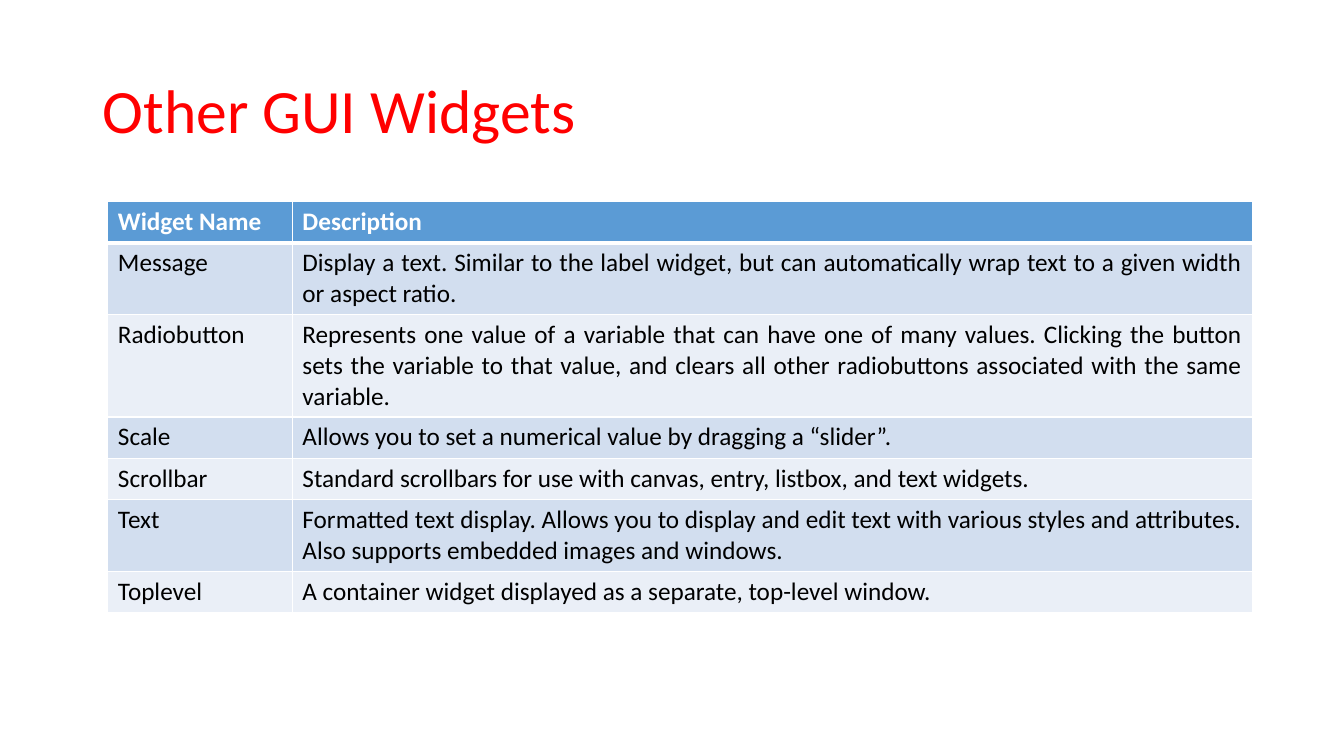
"""Build the slide that lists other GUI widgets in a two-column table."""
import pptx
import pptx.dml.color
import pptx.enum.text
import pptx.oxml.ns
import pptx.util
from lxml import etree

PX = 9144
FONT = "Calibri"
WIDGETS = [
    ("Widget Name", "Description"),
    ("Message", "Display a text. Similar to the label widget, but can automatically "
     "wrap text to a given width or aspect ratio."),
    ("Radiobutton", "Represents one value of a variable that can have one of many values. "
     "Clicking the button sets the variable to that value, and clears all other "
     "radiobuttons associated with the same variable."),
    ("Scale", "Allows you to set a numerical value by dragging a “slider”."),
    ("Scrollbar", "Standard scrollbars for use with canvas, entry, listbox, and text widgets."),
    ("Text", "Formatted text display. Allows you to display and edit text with various "
     "styles and attributes. Also supports embedded images and windows."),
    ("Toplevel", "A container widget displayed as a separate, top-level window."),
]
COLUMN_WIDTHS = [183, 952]
ROW_HEIGHT = 41


def color(hex_string):
    return pptx.dml.color.RGBColor.from_string(hex_string)


def add_run(paragraph, text, size, hex_string, bold=False):
    run = paragraph.add_run()
    run.text = text
    run.font.name = FONT
    run.font.size = pptx.util.Pt(size)
    run.font.bold = bold
    run.font.color.rgb = color(hex_string)


presentation = pptx.Presentation()
presentation.slide_width = 1333 * PX
presentation.slide_height = 750 * PX
slide = presentation.slides.add_slide(presentation.slide_layouts[5])

title = slide.shapes.title
title.left, title.top, title.width, title.height = 92 * PX, 40 * PX, 1150 * PX, 145 * PX
title.text_frame.vertical_anchor = pptx.enum.text.MSO_ANCHOR.MIDDLE
title_paragraph = title.text_frame.paragraphs[0]
title_paragraph.alignment = pptx.enum.text.PP_ALIGN.LEFT
title_paragraph.line_spacing = 0.9
add_run(title_paragraph, "Other GUI Widgets", 44, "FF0000")

table = slide.shapes.add_table(
    len(WIDGETS), len(COLUMN_WIDTHS), 107 * PX, 200 * PX,
    sum(COLUMN_WIDTHS) * PX, len(WIDGETS) * ROW_HEIGHT * PX).table
for column, width in zip(table.columns, COLUMN_WIDTHS):
    column.width = width * PX

for row_index, texts in enumerate(WIDGETS):
    is_header = row_index == 0
    if is_header:
        fill_color, text_color = "5B9BD5", "FFFFFF"
    else:
        fill_color, text_color = ("EAEFF7", "D2DEEF")[row_index % 2], "000000"
    for column_index, text in enumerate(texts):
        cell = table.cell(row_index, column_index)
        cell_properties = cell._tc.get_or_add_tcPr()
        for side in ("lnL", "lnR", "lnT", "lnB"):
            below_header = (row_index, side) in ((0, "lnB"), (1, "lnT"))
            border = etree.SubElement(
                cell_properties, pptx.oxml.ns.qn("a:" + side),
                w=str(pptx.util.Pt(3 if below_header else 1)))
            border_fill = etree.SubElement(border, pptx.oxml.ns.qn("a:solidFill"))
            etree.SubElement(border_fill, pptx.oxml.ns.qn("a:srgbClr"), val="FFFFFF")
        cell.fill.solid()
        cell.fill.fore_color.rgb = color(fill_color)
        paragraph = cell.text_frame.paragraphs[0]
        if column_index == 1 and not is_header:
            paragraph.alignment = pptx.enum.text.PP_ALIGN.JUSTIFY
        add_run(paragraph, text, 18, text_color, is_header)

presentation.save("out.pptx")
